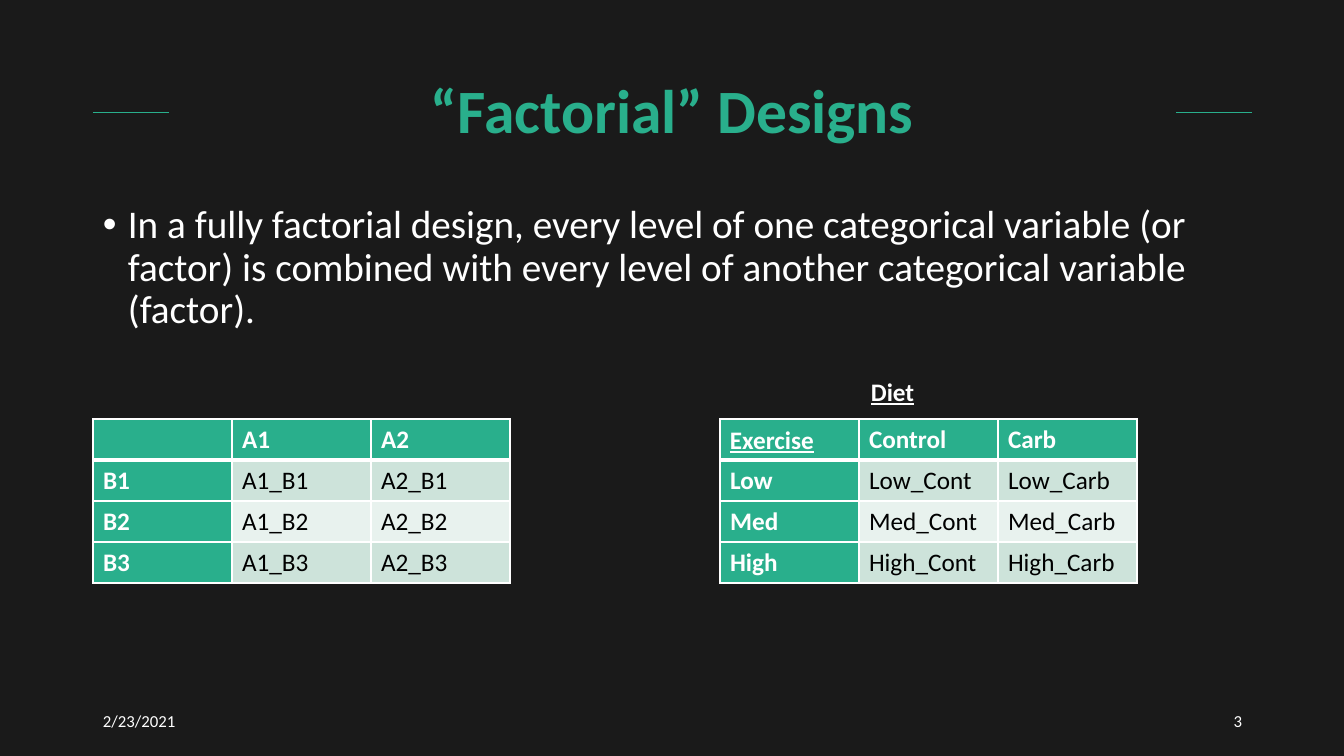
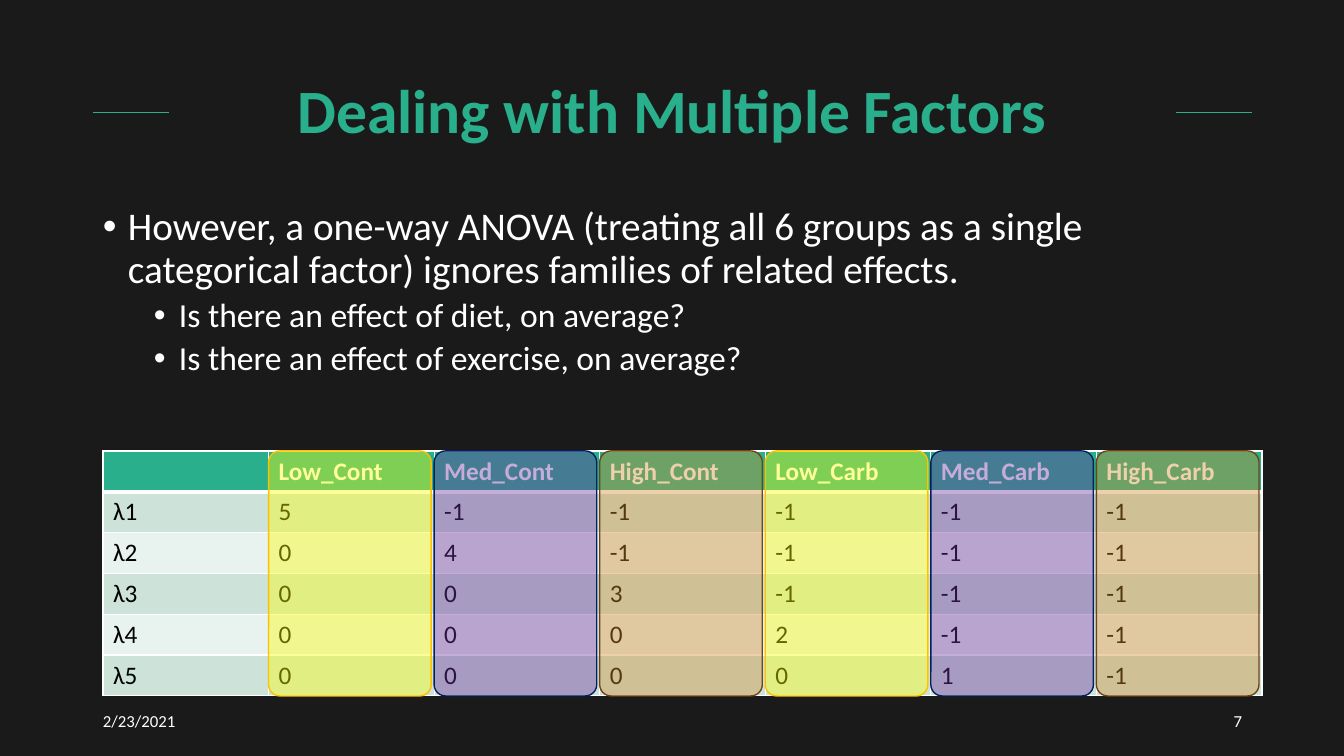
from pptx import Presentation
from pptx.dml.color import RGBColor
from pptx.enum.shapes import MSO_CONNECTOR as Connector, MSO_SHAPE as Preset
from pptx.enum.text import MSO_ANCHOR as Anchor, MSO_AUTO_SIZE as AutoSize, PP_ALIGN as Align
from pptx.oxml.ns import qn
from pptx.util import Pt
from lxml.etree import SubElement

EMU_PER_PX = 12192000 / 1344
COLORS = {
    "background": "1A1A1A", "accent": "29AF8C", "white": "FFFFFF", "black": "000000",
    "band_dark": "CDE3DA", "band_light": "E8F2EE",
    "yellow": "FFFF00", "yellow_edge": "FFC000",
    "purple": "7030A0", "purple_edge": "002060",
    "orange": "D58C2E", "orange_edge": "6C4616",
}
FONTS = {
    "title": {"size": Pt(44), "bold": True},
    "bullet_0": {"size": Pt(28)},
    "bullet_1": {"size": Pt(24)},
    "footer": {"size": Pt(12)},
    "head": {"size": Pt(18), "bold": True},
    "cell": {"size": Pt(18), "bold": False},
    "label": {"size": Pt(18), "bold": True, "underline": True},
}
FIXED_FRAME = {"word_wrap": True, "vertical_anchor": Anchor.MIDDLE}
LABEL_FRAME = {"word_wrap": False, "vertical_anchor": Anchor.TOP,
               "auto_size": AutoSize.SHAPE_TO_FIT_TEXT}
BULLETS = [
    {"indent": 25, "space_before": Pt(10)},
    {"indent": 76, "space_before": Pt(5)},
]
HANGING = 25
TITLE_BOX = (169, 41, 1007, 146)
DATE_BOX = (93, 701, 302, 40)
NUMBER_BOX = (950, 701, 302, 40)
HIGHLIGHTS = ["yellow", "purple", "orange"] * 2


def px(length):
    """Turn pixels into EMU."""
    return round(length * EMU_PER_PX)


def rgb(name):
    """Look up a named colour."""
    return RGBColor.from_string(COLORS[name])


def paint(target, color):
    """Give a shape, cell or background a solid fill."""
    target.fill.solid()
    target.fill.fore_color.rgb = rgb(color)


def write(paragraph, text, style, color="white"):
    """Add one formatted run to a paragraph."""
    run = paragraph.add_run()
    run.text = text
    for name, value in {"name": "Calibri", **FONTS[style]}.items():
        setattr(run.font, name, value)
    run.font.color.rgb = rgb(color)


def add_text(slide, box, text, style, color="white", align=Align.LEFT,
             frame_format=FIXED_FRAME):
    """Place a one-paragraph text box."""
    shape = slide.shapes.add_textbox(*map(px, box))
    frame = shape.text_frame
    for name, value in frame_format.items():
        setattr(frame, name, value)
    paragraph = frame.paragraphs[0]
    paragraph.alignment = align
    write(paragraph, text, style, color)
    return shape


def add_frame(presentation, title, number):
    """Make a slide with its background, rule, title and footer."""
    slide = presentation.slides.add_slide(presentation.slide_layouts[6])
    paint(slide.background, "background")
    rule = slide.shapes.add_connector(Connector.STRAIGHT, px(93), px(112), px(1252), px(112))
    rule.line.color.rgb = rgb("accent")
    rule.line.width = Pt(0.5)
    SubElement(rule._element.spPr, qn("a:effectLst"))
    heading = add_text(slide, TITLE_BOX, title, "title", "accent", Align.CENTER)
    paint(heading, "background")
    heading.text_frame.paragraphs[0].line_spacing = 0.9
    add_text(slide, DATE_BOX, "2/23/2021", "footer")
    add_text(slide, NUMBER_BOX, number, "footer", align=Align.RIGHT)
    return slide


def add_bullets(slide, box, items):
    """Place a bulleted list of (level, text) items."""
    frame = slide.shapes.add_textbox(*map(px, box)).text_frame
    frame.word_wrap = True
    for index, (level, text) in enumerate(items):
        paragraph = frame.add_paragraph() if index else frame.paragraphs[0]
        properties = paragraph._p.get_or_add_pPr()
        properties.set("marL", str(px(BULLETS[level]["indent"])))
        properties.set("indent", str(-px(HANGING)))
        SubElement(properties, qn("a:buFont"), typeface="Arial")
        SubElement(properties, qn("a:buChar"), char="•")
        paragraph.level = level
        paragraph.line_spacing = 0.9
        if index:
            paragraph.space_before = BULLETS[level]["space_before"]
        write(paragraph, text, f"bullet_{level}")


def add_borders(cell, row):
    """Draw white cell borders, heavier below the header row."""
    properties = cell._tc.get_or_add_tcPr()
    heavy_sides = {0: "B", 1: "T"}
    for side in "LRTB":
        width = Pt(3 if heavy_sides.get(row) == side else 1)
        line = SubElement(properties, qn(f"a:ln{side}"), w=str(width))
        fill = SubElement(line, qn("a:solidFill"))
        SubElement(fill, qn("a:srgbClr"), val=COLORS["white"])


def add_grid(slide, box, rows, head_column):
    """Place a banded table with equal columns and rows."""
    table = slide.shapes.add_table(len(rows), len(rows[0]), *map(px, box)).table
    table.horz_banding = False
    for column in table.columns:
        column.width = px(box[2] / len(rows[0]))
    for row, values in enumerate(rows):
        table.rows[row].height = px(box[3] / len(rows))
        for column, value in enumerate(values):
            cell = table.cell(row, column)
            is_head = row == 0 or (head_column and column == 0)
            band = "band_dark" if row % 2 else "band_light"
            add_borders(cell, row)
            paint(cell, "accent" if is_head else band)
            if value:
                write(cell.text_frame.paragraphs[0], value,
                      "head" if is_head else "cell", "white" if is_head else "black")


def add_highlights(slide, box, column_count):
    """Cover each column after the first with a translucent panel."""
    left, top, width, height = box
    step = width / column_count
    for column, color in enumerate(HIGHLIGHTS, start=1):
        panel = slide.shapes.add_shape(
            Preset.ROUNDED_RECTANGLE,
            *map(px, (left + column * step, top, step - 3, height)))
        panel.shadow.inherit = False
        panel.adjustments[0] = 0.07
        paint(panel, color)
        tint = panel._element.spPr.find(qn("a:solidFill")).find(qn("a:srgbClr"))
        SubElement(tint, qn("a:alpha"), val="40000")
        panel.line.color.rgb = rgb(f"{color}_edge")
        panel.line.width = Pt(1)


def add_designs_slide(presentation):
    """Build the slide that defines factorial designs."""
    slide = add_frame(presentation, "“Factorial” Designs", "3")
    add_bullets(slide, (93, 200, 1159, 480), [
        (0, "In a fully factorial design, every level of one categorical variable "
            "(or factor) is combined with every level of another categorical variable (factor)."),
    ])
    designs = [
        (93, ["A1", "A2"], ["B1", "B2", "B3"], "{0}_{1}"),
        (720, ["Control", "Carb"], ["Low", "Med", "High"], "{1}_{0:.4}"),
    ]
    for left, columns, levels, pattern in designs:
        rows = [["", *columns]]
        rows += [[level, *(pattern.format(name, level) for name in columns)] for level in levels]
        add_grid(slide, (left, 419, 417, 164), rows, head_column=True)
    for box, text in (((720, 419, 105, 40), "Exercise"), ((861, 371, 70, 40), "Diet")):
        add_text(slide, box, text, "label", frame_format=LABEL_FRAME)


def add_factors_slide(presentation):
    """Build the slide with the contrasts of the six groups."""
    slide = add_frame(presentation, "Dealing with Multiple Factors", "7")
    add_bullets(slide, (93, 202, 1159, 480), [
        (0, "However, a one-way ANOVA (treating all 6 groups as a single categorical "
            "factor) ignores families of related effects."),
        (1, "Is there an effect of diet, on average?"),
        (1, "Is there an effect of exercise, on average?"),
    ])
    groups = [f"{level}_{diet}" for diet in ("Cont", "Carb") for level in ("Low", "Med", "High")]
    rows = [["", *groups]]
    for index in range(5):
        weights = ["0"] * index + [str(5 - index)] + ["-1"] * (5 - index)
        rows.append([f"λ{index + 1}", *weights])
    box = (103, 451, 1159, 245)
    add_grid(slide, box, rows, head_column=False)
    add_highlights(slide, box, len(rows[0]))


def main():
    """Build and save the presentation."""
    presentation = Presentation()
    presentation.slide_width = px(1344)
    presentation.slide_height = px(756)
    add_designs_slide(presentation)
    add_factors_slide(presentation)
    presentation.save("out.pptx")


if __name__ == "__main__":
    main()
